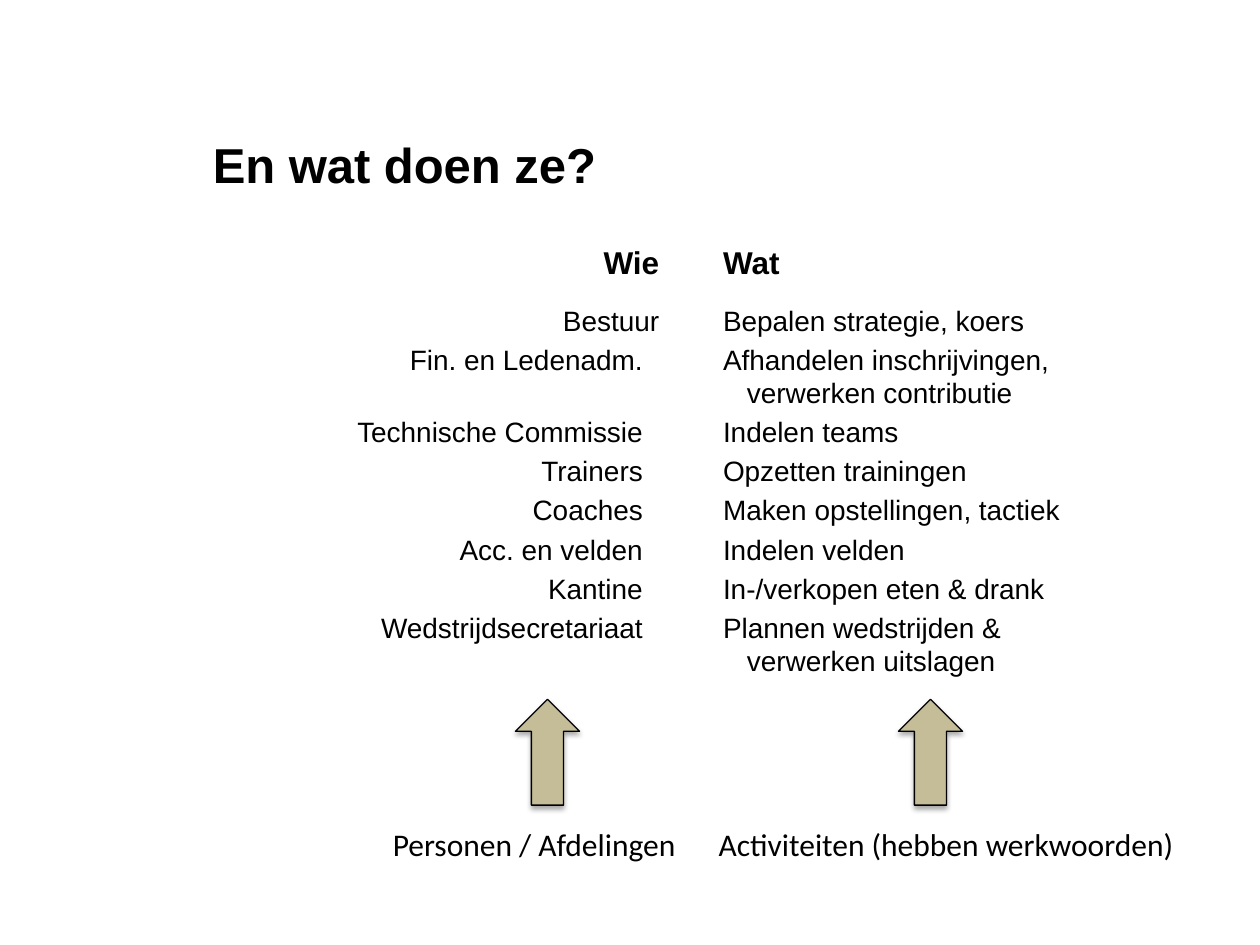
import pptx
import pptx.util
import pptx.dml.color
import pptx.enum.shapes
import pptx.enum.text
import pptx.oxml
from lxml import etree

Inches, Pt = pptx.util.Inches, pptx.util.Pt
Align, Anchor = pptx.enum.text.PP_ALIGN, pptx.enum.text.MSO_ANCHOR
BLACK = pptx.dml.color.RGBColor(0x00, 0x00, 0x00)
SAND = pptx.dml.color.RGBColor(0xC4, 0xBD, 0x97)

LEFT, COLUMN_WIDTH, COLUMN_STEP = 1.59, 3.74, 4.05
HEADING_TOP, LIST_TOP = 1.73, 2.36
ARROW_TOP, CAPTION_TOP = 5.55, 6.5
HANGING = 0.19
LINE_HEIGHT = 19.1

# A pair is (text, layout): "spare line" keeps the row level with a two-line neighbour
WHO = ["Bestuur", "Fin. en Ledenadm.", "Technische Commissie", "Trainers",
       "Coaches", "Acc. en velden", "Kantine", "Wedstrijdsecretariaat"]
SPARE_LINE_ROW = 1
WHAT = ["Bepalen strategie, koers",
        "Afhandelen inschrijvingen, verwerken contributie",
        "Indelen teams", "Opzetten trainingen", "Maken opstellingen, tactiek",
        "Indelen velden", "In-/verkopen eten & drank",
        "Plannen wedstrijden &\vverwerken uitslagen"]

SHADOW = (
    '<a:effectLst xmlns:a="http://schemas.openxmlformats.org/drawingml/2006/main">'
    '<a:outerShdw blurRad="39370" dist="22860" dir="5400000" rotWithShape="0">'
    '<a:srgbClr val="000000"><a:alpha val="35000"/></a:srgbClr>'
    '</a:outerShdw></a:effectLst>')


def add_text(page, area, lines, size, font="Arial", bold=False,
             align=Align.LEFT, anchor=Anchor.TOP, wrap=True):
    """Place one paragraph per line in the area and return the paragraphs."""
    box = page.shapes.add_textbox(*map(Inches, area))
    frame = box.text_frame
    frame.word_wrap = wrap
    frame.vertical_anchor = anchor
    for index, line in enumerate(lines):
        para = frame.paragraphs[0] if index == 0 else frame.add_paragraph()
        para.text = line
        para.alignment = align
        para.font.size = Pt(size)
        para.font.name = font
        para.font.bold = bold
        para.font.color.rgb = BLACK
    return frame.paragraphs


def add_arrow(page, area):
    arrow = page.shapes.add_shape(
        pptx.enum.shapes.MSO_SHAPE.UP_ARROW, *map(Inches, area))
    arrow.fill.solid()
    arrow.fill.fore_color.rgb = SAND
    arrow.line.color.rgb = BLACK
    arrow.line.width = Pt(0.75)
    arrow._element.spPr.append(pptx.oxml.parse_xml(SHADOW))


def add_column(page, left, heading, lines, align):
    """Heading above a list with hanging indents."""
    add_text(page, (left, HEADING_TOP, COLUMN_WIDTH, 0.55), [heading], 18,
             bold=True, align=align, anchor=Anchor.BOTTOM)
    paras = add_text(page, (left, LIST_TOP, COLUMN_WIDTH, 3.45), lines, 16,
                     align=align)
    for para in paras:
        para.space_before = Pt(3.2)
        para.line_spacing = Pt(LINE_HEIGHT)
        properties = para._p.get_or_add_pPr()
        properties.set("marL", str(Inches(HANGING)))
        properties.set("indent", str(-Inches(HANGING)))
    return paras


def add_explanation(page, arrow_left, caption_left, caption_width, caption):
    """Arrow up to a column, with its caption below."""
    add_text(page, (caption_left, CAPTION_TOP, caption_width, 0.4), [caption],
             18, font="Calibri", align=Align.CENTER, wrap=False)
    add_arrow(page, (arrow_left, ARROW_TOP, 0.51, 0.84))


def main():
    deck = pptx.Presentation()
    deck.slide_width, deck.slide_height = Inches(10), Inches(7.5)
    page = deck.slides.add_slide(deck.slide_layouts[6])

    # Title
    add_text(page, (LEFT, 1.02, 7.79, 0.7), ["En wat doen ze?"], 28, bold=True)

    # Who and what
    who = add_column(page, LEFT, "Wie", WHO, Align.RIGHT)
    who[SPARE_LINE_ROW].space_after = Pt(LINE_HEIGHT)
    who[SPARE_LINE_ROW]._p.get_or_add_pPr().set("marR", str(Inches(0.13)))
    add_column(page, LEFT + COLUMN_STEP, "Wat", WHAT, Align.LEFT)

    # Explanations
    add_explanation(page, 4.09, 3, 2.48, "Personen / Afdelingen")
    add_explanation(page, 7.13, 5.58, 3.86, "Activiteiten (hebben werkwoorden)")

    deck.save("out.pptx")


if __name__ == "__main__":
    main()
